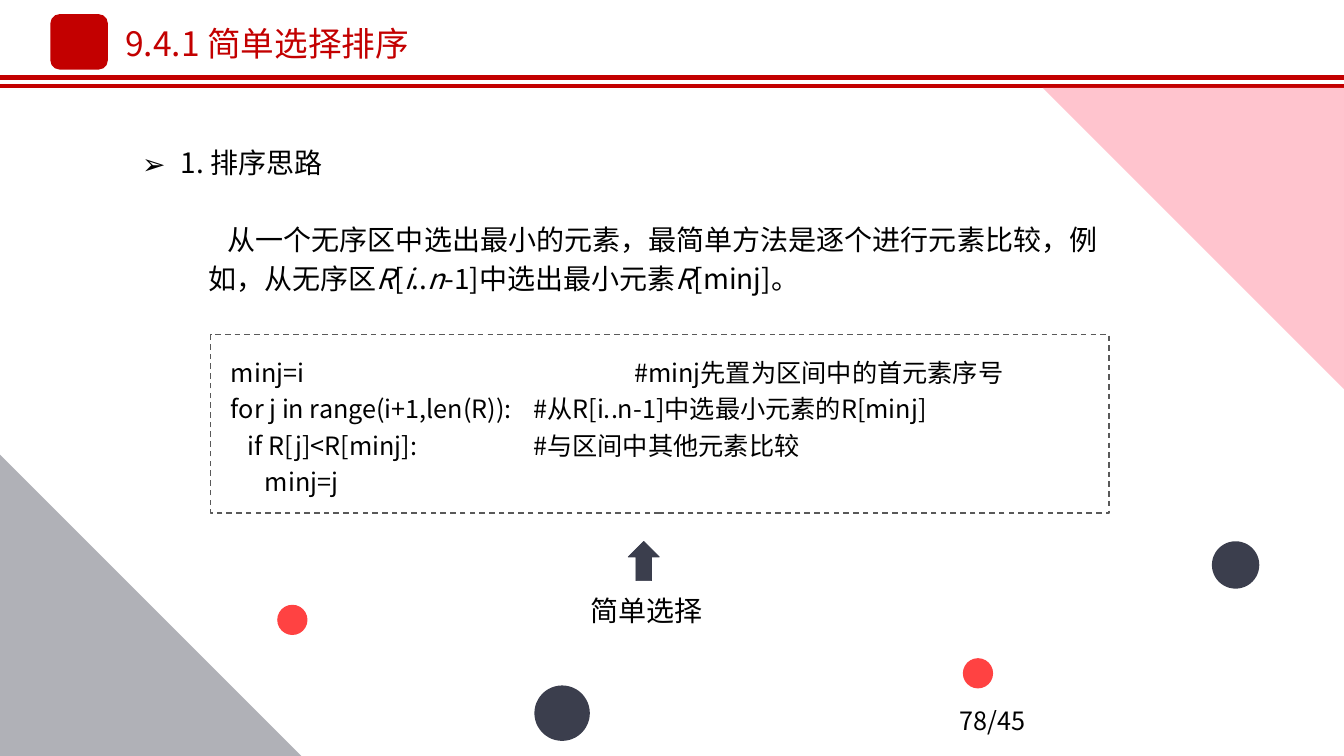
from lxml.etree import SubElement
from pptx import Presentation
from pptx.dml.color import RGBColor
from pptx.enum.dml import MSO_LINE
from pptx.enum.shapes import MSO_CONNECTOR as Connector, MSO_SHAPE as Shape
from pptx.enum.text import MSO_ANCHOR as Anchor, MSO_AUTO_SIZE as AutoSize, PP_ALIGN as Align
from pptx.oxml.ns import qn
from pptx.util import Inches, Pt

COLORS = {
    "crimson": "C30000",
    "red": "FF4242",
    "pink": "FF6D85",
    "slate": "3B3E4D",
    "edge": "393C4C",
    "dash": "595959",
    "black": "000000",
}


class SlideBuilder:
    """Holds the style and the slide, and adds each kind of element."""

    font = "Noto Sans CJK SC"

    def __init__(self, slide):
        self.slide = slide

    def color(self, name):
        return RGBColor.from_string(COLORS[name])

    def place(self, box, left, top, width, height):
        box.left, box.top = Inches(left), Inches(top)
        box.width, box.height = Inches(width), Inches(height)

    def fill_text(self, box, lines, size, color="black", anchor=Anchor.TOP, spacing=None):
        frame = box.text_frame
        frame.word_wrap = True
        frame.auto_size = AutoSize.NONE
        frame.vertical_anchor = anchor
        for number, runs in enumerate(lines):
            paragraph = frame.paragraphs[0] if number == 0 else frame.add_paragraph()
            paragraph.alignment = Align.LEFT
            paragraph.space_before = Pt(0)
            if spacing:
                paragraph.line_spacing = Pt(spacing)
            for words, italic in runs:
                run = paragraph.add_run()
                run.text = words
                run.font.size = Pt(size)
                run.font.italic = italic
                run.font.name = self.font
                run.font.color.rgb = self.color(color)
                east_asian = SubElement(run.font._element, qn("a:ea"))
                east_asian.set("typeface", self.font)
        return frame

    def title(self, words, *bounds):
        heading = self.slide.shapes.title
        self.place(heading, *bounds)
        self.fill_text(heading, [[(words, False)]], 24, "crimson", Anchor.MIDDLE)

    def bullet(self, words, *bounds):
        body = self.slide.placeholders[1]
        self.place(body, *bounds)
        frame = self.fill_text(body, [[(words, False)]], 20)
        properties = frame.paragraphs[0]._p.get_or_add_pPr()
        self.indent(properties, 0.38, -0.38)
        SubElement(properties, qn("a:buFont")).set("typeface", self.font)
        SubElement(properties, qn("a:buChar")).set("char", "➢")

    def indent(self, properties, margin, first):
        properties.set("marL", str(Inches(margin)))
        properties.set("indent", str(Inches(first)))

    def text(self, runs, size, *bounds, spacing=None, first=0):
        box = self.slide.shapes.add_textbox(*map(Inches, bounds))
        frame = self.fill_text(box, [runs], size, spacing=spacing)
        self.indent(frame.paragraphs[0]._p.get_or_add_pPr(), 0, first)

    def shape(self, kind, fill, *bounds, alpha=None, rotation=0):
        figure = self.slide.shapes.add_shape(kind, *map(Inches, bounds))
        figure.shadow.inherit = False
        figure.rotation = rotation
        figure.line.fill.background()
        if fill is None:
            figure.fill.background()
            return figure
        figure.fill.solid()
        figure.fill.fore_color.rgb = self.color(fill)
        if alpha:
            tint = figure._element.spPr.find(qn("a:solidFill"))[0]
            SubElement(tint, qn("a:alpha")).set("val", str(alpha * 1000))
        return figure

    def outline(self, figure, color, width):
        figure.line.color.rgb = self.color(color)
        figure.line.width = Pt(width)

    def rule(self, top):
        line = self.slide.shapes.add_connector(
            Connector.STRAIGHT, 0, Inches(top), Inches(13.33), Inches(top))
        self.outline(line, "crimson", 3)
        SubElement(line._element.spPr, qn("a:effectLst"))

    def code(self, lines, *bounds):
        panel = self.shape(Shape.RECTANGLE, None, *bounds)
        self.outline(panel, "dash", 1)
        panel.line.dash_style = MSO_LINE.DASH
        rows = [[("\t".join(filter(None, (statement, remark))), False)]
                for statement, remark, _ in lines]
        frame = self.fill_text(panel, rows, 18, anchor=Anchor.MIDDLE, spacing=26)
        frame.margin_left, frame.margin_right = Inches(0.2), Inches(0.1)
        frame.margin_top = frame.margin_bottom = Inches(0.16)
        for paragraph, (_, _, stop) in zip(frame.paragraphs, lines):
            if stop:
                tabs = SubElement(paragraph._p.get_or_add_pPr(), qn("a:tabLst"))
                SubElement(tabs, qn("a:tab"), pos=str(Inches(stop)), algn="l")


def main():
    deck = Presentation()
    deck.slide_width, deck.slide_height = Inches(13.33), Inches(7.5)
    page = SlideBuilder(deck.slides.add_slide(deck.slide_layouts[1]))

    for top in (0.77, 0.85):
        page.rule(top)
    page.shape(Shape.ROUNDED_RECTANGLE, "crimson", 0.5, 0.14, 0.57, 0.55)
    page.title("9.4.1 简单选择排序", 1.14, 0.18, 3.83, 0.5)
    page.bullet("1. 排序思路", 1.31, 1.39, 2.4, 0.44)

    idea = [
        ("从一个无序区中选出最小的元素，最简单方法是逐个进行元素比较，例如，从无序区", False),
        ("R", True), ("[", False), ("i", True), ("..", False), ("n", True),
        ("-1]中选出最小元素", False), ("R", True), ("[minj]。", False),
    ]
    page.text(idea, 20, 1.97, 2.1, 9.14, 0.88, spacing=28, first=0.19)

    page.code([
        ("minj=i", "#minj先置为区间中的首元素序号", 4),
        ("for j in range(i+1,len(R)):", "#从R[i..n-1]中选最小元素的R[minj]", 3),
        ("   if R[j]<R[minj]:", "#与区间中其他元素比较", 3),
        ("      minj=j", None, None),
    ], 2.09, 3.32, 8.91, 1.77)

    arrow = page.shape(Shape.UP_ARROW, "slate", 6.23, 5.37, 0.31, 0.39)
    page.outline(arrow, "edge", 0.5)
    page.text([("简单选择", False)], 20, 5.76, 5.84, 1.41, 0.44)
    page.text([("78/45", False)], 18, 9.42, 6.95, 3, 0.4)

    for color, left, top, diameter in (
        ("red", 9.55, 6.53, 0.3),
        ("slate", 5.3, 6.8, 0.55),
        ("red", 2.75, 6, 0.3),
        ("slate", 12.02, 5.37, 0.47),
    ):
        page.shape(Shape.OVAL, color, left, top, diameter, diameter)

    for color, left, top, rotation in (
        ("slate", 0, 4.51, 0),
        ("pink", 10.34, 0.87, 180),
    ):
        page.shape(Shape.RIGHT_TRIANGLE, color, left, top, 2.99, 2.99,
                   alpha=40, rotation=rotation)

    deck.save("out.pptx")


if __name__ == "__main__":
    main()
